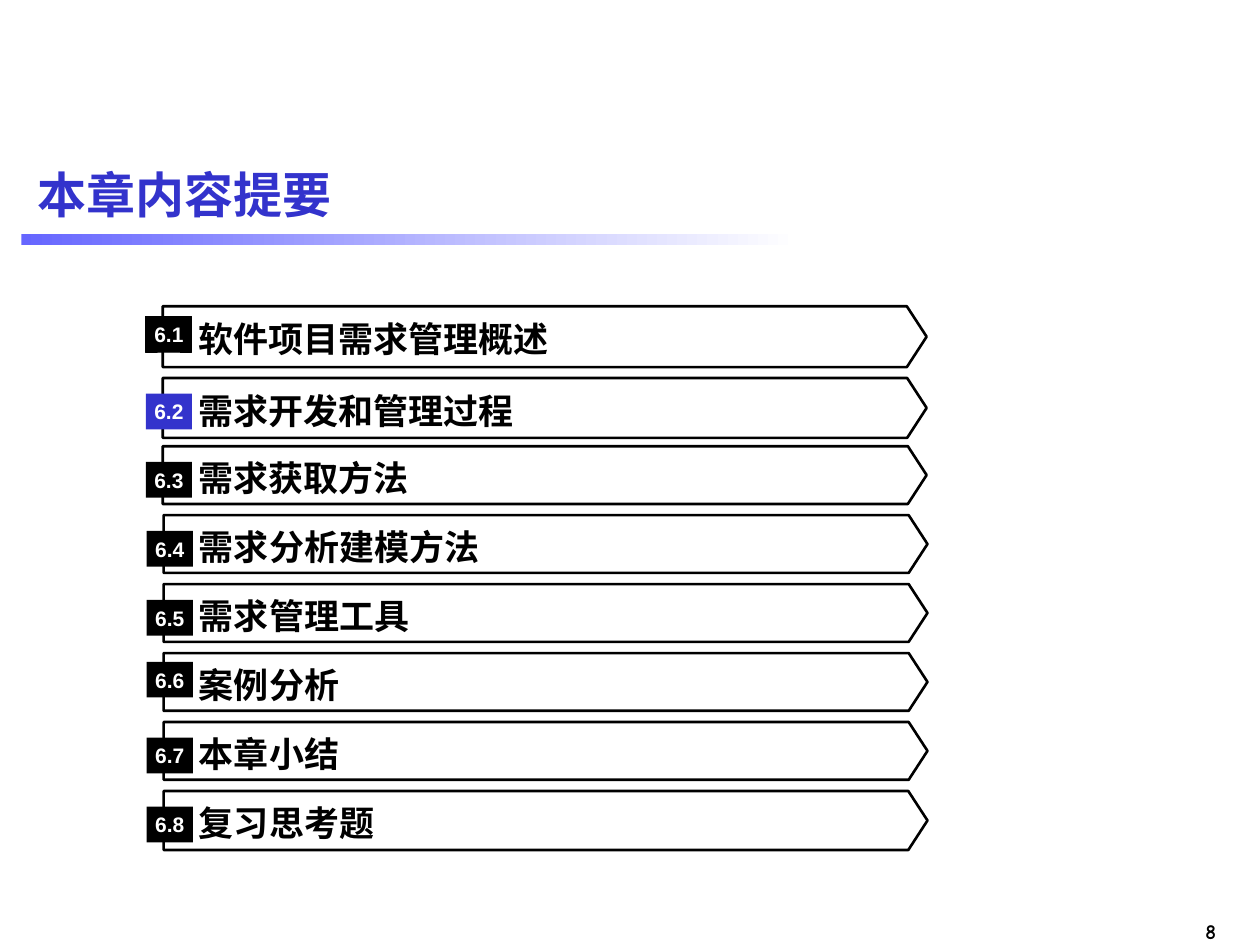
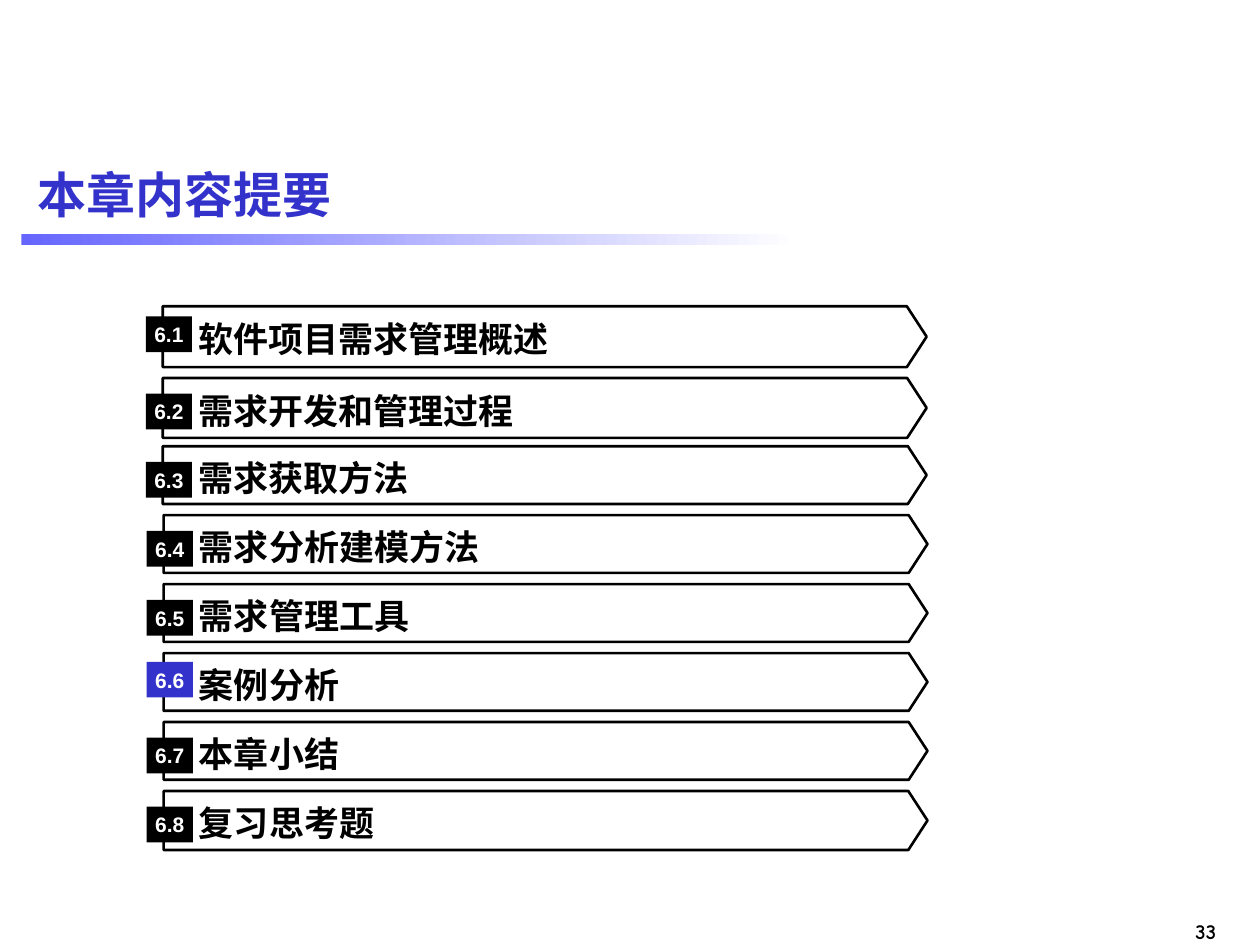
from pptx import Presentation
from pptx.dml.color import RGBColor
from pptx.enum.lang import MSO_LANGUAGE_ID as LANG
from pptx.enum.shapes import MSO_SHAPE as SHAPE
from pptx.enum.text import MSO_ANCHOR as ANCHOR, PP_ALIGN as ALIGN
from pptx.util import Pt

# Shared style
BLACK, WHITE, BLUE, PALE_BLUE = "000000", "FFFFFF", "3333CC", "6666FF"
HEAD_FONT, BODY_FONT, NUMBER_FONT = "Arial", "Times New Roman", "Comic Neue"

TOPICS = ["软件项目需求管理概述", "需求开发和管理过程", "需求获取方法",
          "需求分析建模方法", "需求管理工具", "案例分析", "本章小结", "复习思考题"]

# Agenda geometry: the first two bars stand apart, the rest are evenly spaced
BAR_TOPS = [175, 216] + [255 + 39.4 * i for i in range(6)]
BAR_HEIGHTS = [34.8, 34.2] + [33] * 5 + [33.7]
BADGE_DROP = 9                      # badge top below bar top
BADGE_DROP_RAISED = {1: 5.8, 6: 5}  # chapters whose badge sits higher
LABEL_HEIGHT = 24.5


def rgb(color):
    return RGBColor.from_string(color)


class Deck:
    def __init__(self):
        self.prs = Presentation()
        self.prs.slide_width, self.prs.slide_height = Pt(720), Pt(540)
        self.s = None

    def new_slide(self, title, number):
        self.s = self.prs.slides.add_slide(self.prs.slide_layouts[6])
        self.band(12.2, 133.9, 444, 6)
        self.text(14.4, 82.8, 691.9, 56, title, 28, HEAD_FONT, BLUE, inset=None)
        self.text(662.4, 521.3, 39.6, 21.6, str(number), 12, NUMBER_FONT, BLACK,
                  align=ALIGN.RIGHT, anchor=ANCHOR.TOP, inset=None)

    def shape(self, kind, x, y, w, h):
        sp = self.s.shapes.add_shape(kind, Pt(x), Pt(y), Pt(w), Pt(h))
        sp.shadow.inherit = False
        sp.line.fill.background()
        return sp

    def outline(self, sp, color, width):
        sp.line.color.rgb = rgb(color)
        sp.line.width = Pt(width)

    def put_text(self, sp, text, size, font, color, align=ALIGN.LEFT,
                 anchor=ANCHOR.MIDDLE, inset=0):
        tf = sp.text_frame
        tf.word_wrap = True
        tf.vertical_anchor = anchor
        if inset is not None:
            tf.margin_left = tf.margin_right = Pt(inset)
            tf.margin_top = tf.margin_bottom = Pt(inset)
        p = tf.paragraphs[0]
        p.alignment = align
        r = p.add_run()
        r.text = text
        r.font.name, r.font.size, r.font.bold = font, Pt(size), True
        r.font.color.rgb = rgb(color)
        r.font.language_id = LANG.SIMPLIFIED_CHINESE

    def text(self, x, y, w, h, *content, **layout):
        box = self.s.shapes.add_textbox(Pt(x), Pt(y), Pt(w), Pt(h))
        self.put_text(box, *content, **layout)

    def band(self, x, y, w, h):
        fill = self.shape(SHAPE.RECTANGLE, x, y, w, h).fill
        fill.gradient()
        fill.gradient_angle = 0
        for stop, position, color in zip(fill.gradient_stops, (0, 1), (PALE_BLUE, WHITE)):
            stop.position = position
            stop.color.rgb = rgb(color)

    def bar(self, x, y, w, h):
        sp = self.shape(SHAPE.PENTAGON, x, y, w, h)
        sp.adjustments[0] = 0.325
        sp.fill.background()
        self.outline(sp, BLACK, 1.5)

    def badge(self, x, y, label, color, outlined):
        sp = self.shape(SHAPE.RECTANGLE, x, y, 26.4, 20.4)
        sp.fill.solid()
        sp.fill.fore_color.rgb = rgb(color)
        if outlined:
            self.outline(sp, color, 0.5)
        self.put_text(sp, label, 12, HEAD_FONT, WHITE, align=ALIGN.CENTER)

    def agenda(self, current, outlined=None):
        rows = zip(TOPICS, BAR_TOPS, BAR_HEIGHTS)
        for n, (topic, top, height) in enumerate(rows, 1):
            shift = 0.5 if n > 3 else 0
            self.bar(93 + shift, top, 436.5, height)
            self.text(113.2 + shift, top + (height - LABEL_HEIGHT) / 2 + 1.3, 387.4,
                      LABEL_HEIGHT, topic, 20, BODY_FONT, BLACK)
            self.badge(83.3 + shift, top + BADGE_DROP_RAISED.get(n, BADGE_DROP), f"6.{n}",
                       BLUE if n == current else BLACK, n == outlined)


def main():
    deck = Deck()

    # Section 6.2 is next
    deck.new_slide("本章内容提要", 8)
    deck.agenda(current=2, outlined=1)

    # Section 6.6 is next
    deck.new_slide("本章内容提要", 33)
    deck.agenda(current=6)

    deck.prs.save("out.pptx")


if __name__ == "__main__":
    main()
